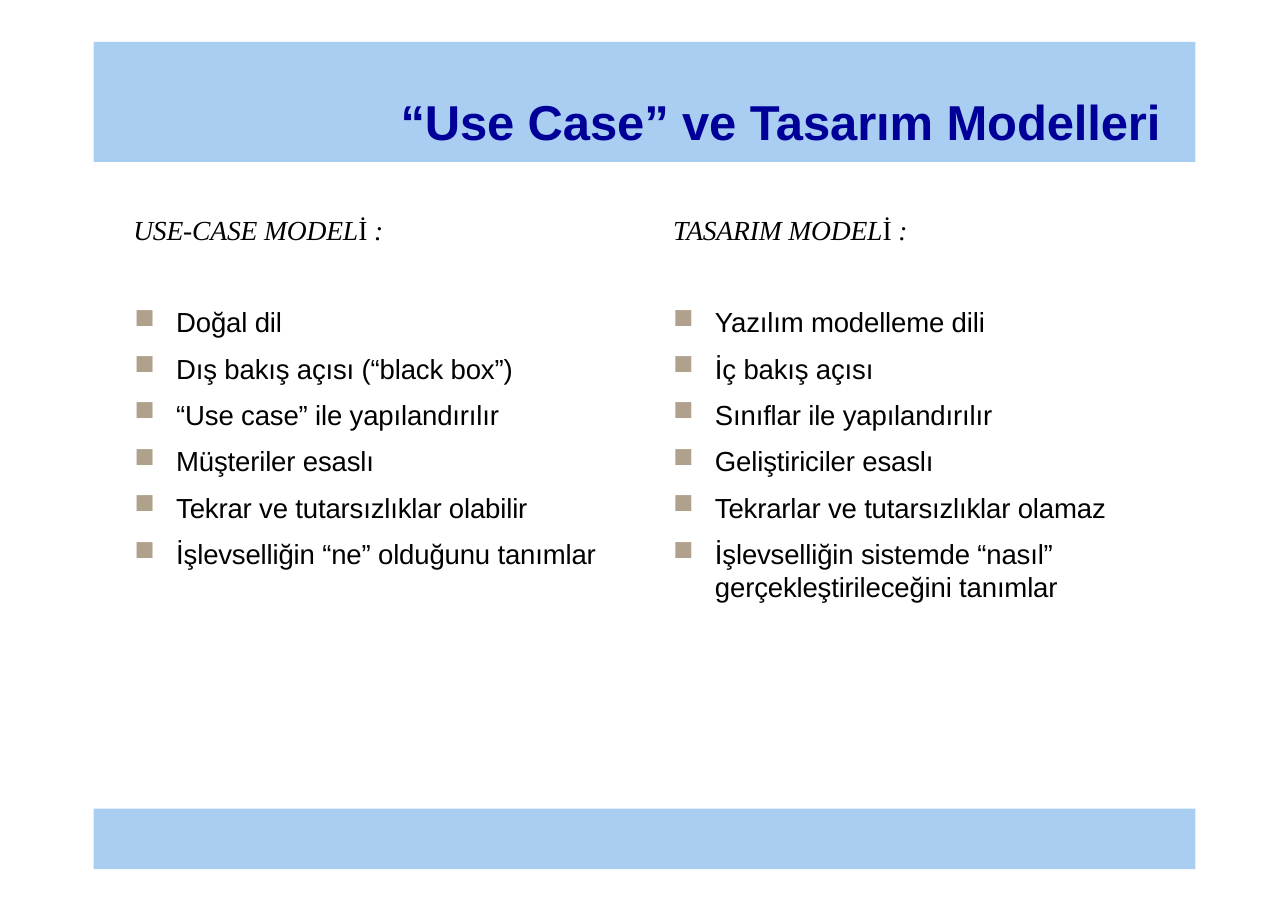
from dataclasses import dataclass

import pptx
import pptx.dml.color
import pptx.enum.shapes
import pptx.enum.text
import pptx.oxml.ns
import pptx.util
from lxml import etree
from pptx.util import Inches


@dataclass(frozen=True)
class Theme:
    band: str = "A9CEF2"
    title: str = "000099"
    text: str = "000000"
    bullet: str = "B0A18C"
    sans: str = "Arial"
    serif: str = "Times New Roman"
    title_size: int = 32
    text_size: int = 18
    item_gap: float = 8.7


THEME = Theme()

USE_CASE_ITEMS = [
    "Doğal dil",
    "Dış bakış açısı (“black box”)",
    "“Use case” ile yapılandırılır",
    "Müşteriler esaslı",
    "Tekrar ve tutarsızlıklar olabilir",
    "İşlevselliğin “ne” olduğunu tanımlar",
]
DESIGN_ITEMS = [
    "Yazılım modelleme dili",
    "İç bakış açısı",
    "Sınıflar ile yapılandırılır",
    "Geliştiriciler esaslı",
    "Tekrarlar ve tutarsızlıklar olamaz",
    "İşlevselliğin sistemde “nasıl” gerçekleştirileceğini tanımlar",
]


def rgb(color):
    return pptx.dml.color.RGBColor.from_string(color)


def add_element(parent, tag, **attributes):
    return etree.SubElement(parent, pptx.oxml.ns.qn(tag), attributes)


def add_run(p, text, font, size, color, bold=False, italic=False):
    r = p.add_run()
    r.text = text
    r.font.name = font
    r.font.size = pptx.util.Pt(size)
    r.font.bold = bold
    r.font.italic = italic
    r.font.color.rgb = rgb(color)
    # Slightly tight letter spacing
    r.font._element.set("spc", "-10")


def set_frame(tf, top, right=0):
    tf.word_wrap = True
    tf.vertical_anchor = pptx.enum.text.MSO_ANCHOR.TOP
    tf.margin_left = tf.margin_bottom = 0
    tf.margin_top, tf.margin_right = Inches(top), Inches(right)


def add_band(s, top, height):
    sp = s.shapes.add_shape(pptx.enum.shapes.MSO_SHAPE.RECTANGLE,
                            Inches(0.85), Inches(top), Inches(10), Inches(height))
    sp.shadow.inherit = False
    sp.fill.solid()
    sp.fill.fore_color.rgb = rgb(THEME.band)
    sp.line.fill.background()
    return sp


def add_title(s, text):
    tf = add_band(s, 0.38, 1.09).text_frame
    set_frame(tf, top=0.45, right=0.32)
    p = tf.paragraphs[0]
    p.alignment = pptx.enum.text.PP_ALIGN.RIGHT
    add_run(p, text, THEME.sans, THEME.title_size, THEME.title, bold=True)


def add_headings(s, names):
    tf = s.shapes.add_textbox(Inches(1.21), Inches(1.91), Inches(7.08), Inches(0.33)).text_frame
    set_frame(tf, top=0.02)
    p = tf.paragraphs[0]
    tabs = add_element(p._p.get_or_add_pPr(), "a:tabLst")
    add_element(tabs, "a:tab", pos=str(Inches(4.9)), algn="l")
    for i, name in enumerate(names):
        ending = ":\t" if i < len(names) - 1 else ":"
        # The dotted capital is upright, the rest is italic
        for text, italic in ((name, True), ("İ ", False), (ending, True)):
            add_run(p, text, THEME.serif, THEME.text_size, THEME.text, italic=italic)


def add_bullets(s, left, width, height, items):
    tf = s.shapes.add_textbox(Inches(left), Inches(2.63), Inches(width), Inches(height)).text_frame
    set_frame(tf, top=0.14)
    for i, item in enumerate(items):
        p = tf.add_paragraph() if i else tf.paragraphs[0]
        pPr = p._p.get_or_add_pPr()
        pPr.set("marL", str(Inches(0.38)))
        pPr.set("indent", str(-Inches(0.38)))
        add_element(add_element(pPr, "a:buClr"), "a:srgbClr", val=THEME.bullet)
        add_element(pPr, "a:buChar", char="■")
        if i:
            p.space_before = pptx.util.Pt(THEME.item_gap)
        add_run(p, item, THEME.sans, THEME.text_size, THEME.text)


def main():
    prs = pptx.Presentation()
    prs.slide_width, prs.slide_height = Inches(11.69), Inches(8.26)
    s = prs.slides.add_slide(prs.slide_layouts[6])

    # Title band
    add_title(s, "“Use Case” ve Tasarım Modelleri")

    # Two compared models
    add_headings(s, ["USE-CASE MODEL", "TASARIM MODEL"])
    add_bullets(s, 1.22, 4.26, 2.55, USE_CASE_ITEMS)
    add_bullets(s, 6.11, 4.03, 2.85, DESIGN_ITEMS)

    # Footer band
    add_band(s, 7.34, 0.55)

    prs.save("out.pptx")


if __name__ == "__main__":
    main()
